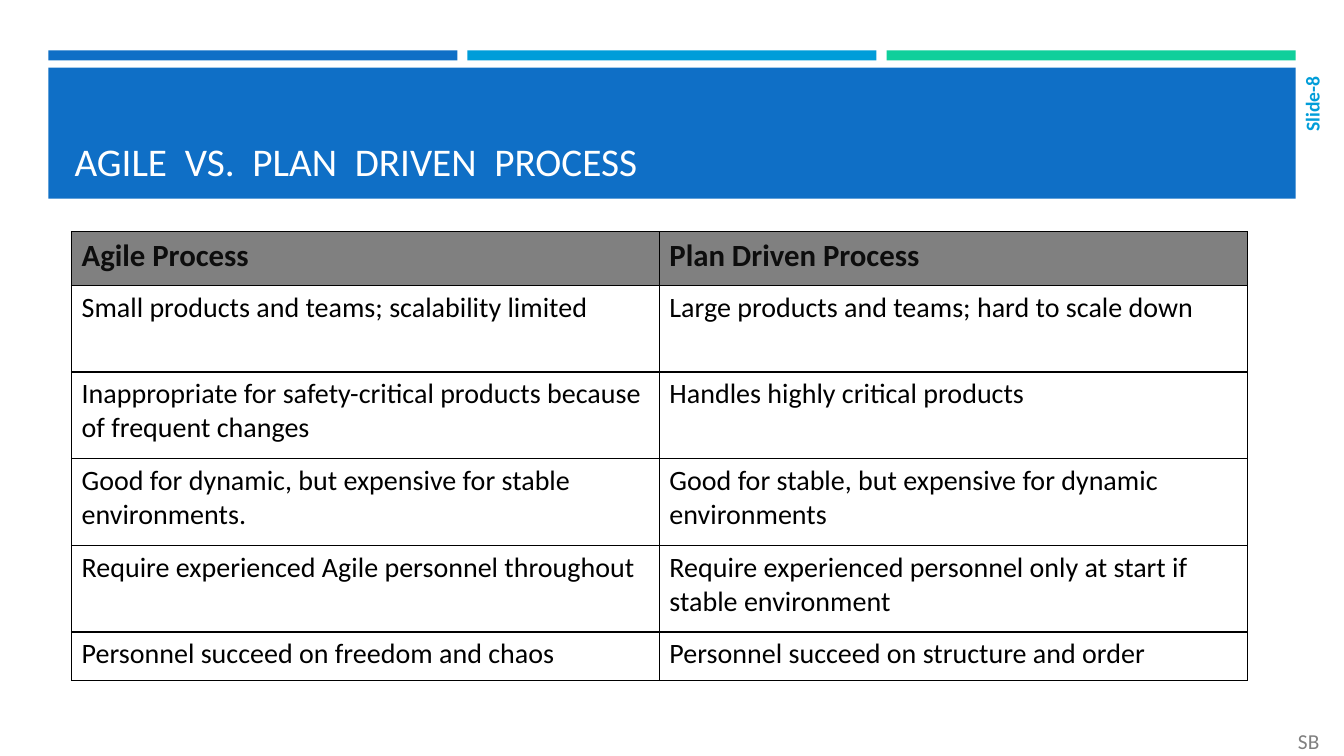
from pptx import Presentation
from pptx.dml.color import RGBColor
from pptx.enum.shapes import MSO_SHAPE as Shape
from pptx.enum.text import MSO_ANCHOR as Anchor, PP_ALIGN as Align
from pptx.oxml import parse_xml
from pptx.oxml.ns import nsdecls
from pptx.util import Inches, Pt

BLUE = RGBColor(0x0F, 0x6F, 0xC6)
CYAN = RGBColor(0x00, 0x9D, 0xD9)
GREEN = RGBColor(0x10, 0xCF, 0x9B)
WHITE = RGBColor(0xFF, 0xFF, 0xFF)
BLACK = RGBColor(0x00, 0x00, 0x00)
INK = RGBColor(0x0D, 0x0D, 0x0D)
GRAY = RGBColor(0x80, 0x80, 0x80)

ROWS = [
    ("Agile Process", "Plan Driven Process"),
    ("Small products and teams; scalability limited",
     "Large products and teams; hard to scale down"),
    ("Inappropriate for safety-critical products because of frequent changes",
     "Handles highly critical products"),
    ("Good for dynamic, but expensive for stable environments.",
     "Good for stable, but expensive for dynamic environments"),
    ("Require experienced Agile personnel throughout",
     "Require experienced personnel only at start if stable environment"),
    ("Personnel succeed on freedom and chaos",
     "Personnel succeed on structure and order"),
]
HEIGHTS = [0.53, 0.86, 0.86, 0.86, 0.86, 0.48]


def style(para, size, color, bold=False, align=Align.LEFT):
    """Set the font and alignment of a paragraph."""
    para.alignment = align
    font = para.font
    font.name, font.size, font.bold = "Calibri", Pt(size), bold
    font.color.rgb = color


def add_bar(slide, left, top, width, height, color):
    """Add a plain filled rectangle."""
    bar = slide.shapes.add_shape(
        Shape.RECTANGLE, *map(Inches, (left, top, width, height)))
    bar.shadow.inherit = False
    bar.fill.solid()
    bar.fill.fore_color.rgb = color
    bar.line.fill.background()


def add_header(slide, left, top, width, height):
    """Place three accent strips over a band that holds the title."""
    gap, strip = 0.1, 0.1
    part = (width - 2 * gap) / 3
    for i, color in enumerate((BLUE, CYAN, GREEN)):
        add_bar(slide, left + i * (part + gap), top, part, strip, color)
    drop = 0.17
    add_bar(slide, left, top + drop, width, height - drop, BLUE)
    title = slide.shapes.title
    title.element.getparent().append(title.element)
    title.left, title.top = Inches(left + 0.16), Inches(top + 0.27)
    title.width, title.height = Inches(width - 0.31), Inches(height - 0.36)
    frame = title.text_frame
    frame.text = "AGILE  VS.  PLAN  DRIVEN  PROCESS"
    frame.vertical_anchor = Anchor.BOTTOM
    style(frame.paragraphs[0], 28, WHITE)


def add_edge(cell):
    """Draw thin black borders around a cell."""
    props = cell._tc.get_or_add_tcPr()
    for i, side in enumerate(("lnL", "lnR", "lnT", "lnB")):
        props.insert(i, parse_xml(
            f'<a:{side} {nsdecls("a")} w="12700"><a:solidFill>'
            f'<a:srgbClr val="{BLACK}"/></a:solidFill></a:{side}>'))


def add_grid(slide, left, top, width):
    """Place the comparison table with its gray heading row."""
    grid = slide.shapes.add_table(
        len(ROWS), 2, Inches(left), Inches(top),
        Inches(width), Inches(sum(HEIGHTS))).table
    grid.first_row = grid.horz_banding = False
    for r, texts in enumerate(ROWS):
        grid.rows[r].height = Inches(HEIGHTS[r])
        for c, text in enumerate(texts):
            cell = grid.cell(r, c)
            cell.text = text
            para = cell.text_frame.paragraphs[0]
            if r == 0:
                cell.fill.solid()
                cell.fill.fore_color.rgb = GRAY
                style(para, 22, INK, bold=True)
            else:
                cell.fill.background()
                style(para, 20, BLACK)
            add_edge(cell)


def add_note(slide, left, top, width, height, text):
    """Add a middle-anchored text box and return its frame."""
    frame = slide.shapes.add_textbox(
        *map(Inches, (left, top, width, height))).text_frame
    frame.word_wrap = True
    frame.vertical_anchor = Anchor.MIDDLE
    frame.margin_left = frame.margin_right = 0
    frame.text = text
    return frame


def add_marks(slide, width, height):
    """Place the upright slide number and the corner initials."""
    page = add_note(slide, width - 0.46, 0.66, 0.28, 1.08, "Slide-8")
    page._txBody.bodyPr.set("vert", "vert270")
    style(page.paragraphs[0], 14, CYAN, bold=True, align=Align.RIGHT)
    sign = add_note(slide, width - 0.7, height - 0.3, 0.7, 0.3, "SB")
    style(sign.paragraphs[0], 15.2, GRAY, align=Align.CENTER)


def main():
    """Build the slide and save it."""
    deck = Presentation()
    width, height = 13.33, 7.5
    deck.slide_width, deck.slide_height = Inches(width), Inches(height)
    slide = deck.slides.add_slide(deck.slide_layouts[5])
    add_header(slide, 0.48, 0.5, 12.37, 1.47)
    add_grid(slide, 0.71, 2.3, 11.66)
    add_marks(slide, width, height)
    deck.save("out.pptx")


if __name__ == "__main__":
    main()
